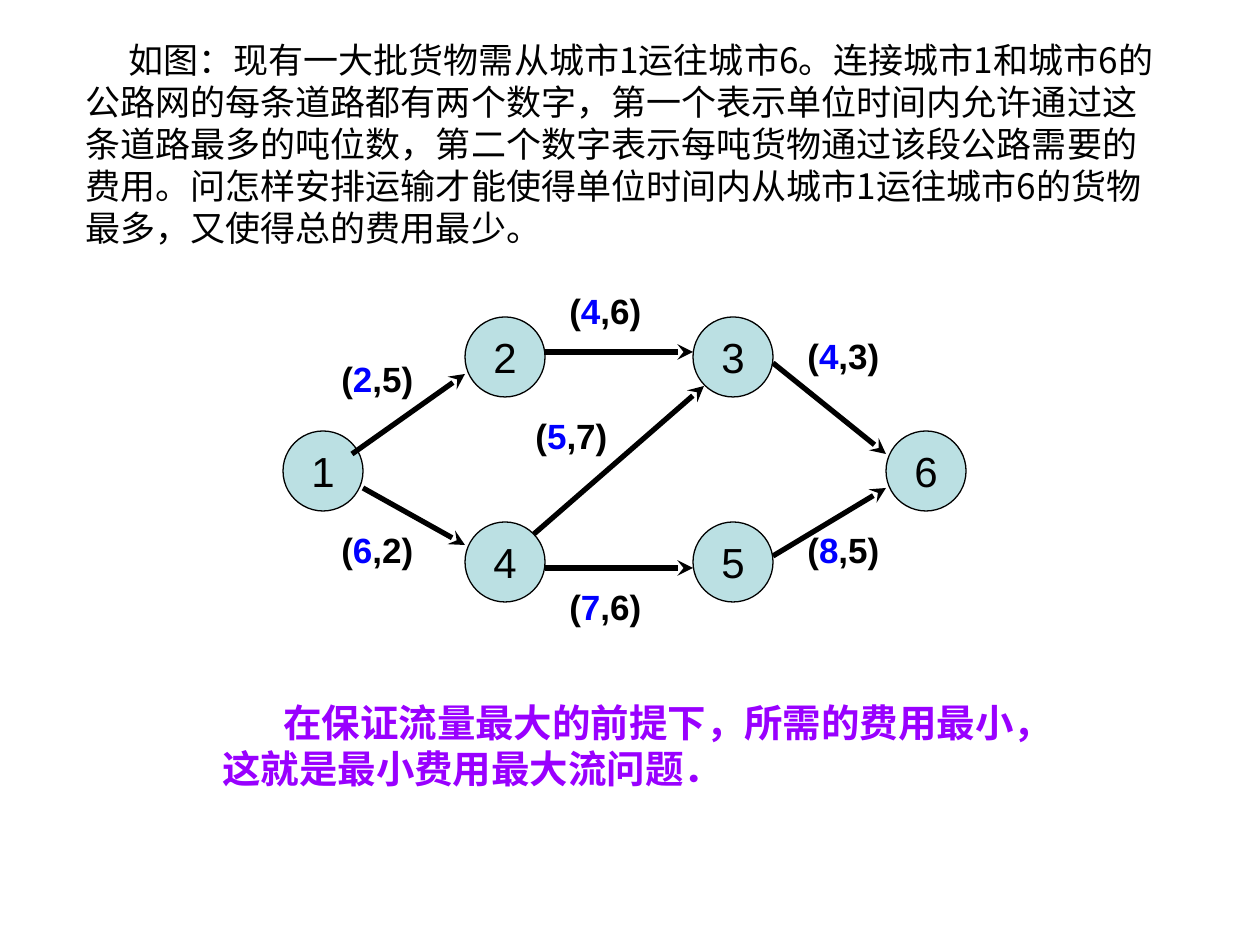
import pptx
import pptx.dml.color
import pptx.enum.shapes
import pptx.enum.text
import pptx.oxml.ns
import pptx.util
from lxml import etree

BLACK = pptx.dml.color.RGBColor(0x00, 0x00, 0x00)
BLUE = pptx.dml.color.RGBColor(0x00, 0x00, 0xFF)
PURPLE = pptx.dml.color.RGBColor(0x99, 0x00, 0xFF)
PALE_TEAL = pptx.dml.color.RGBColor(0xBB, 0xE0, 0xE3)

LATIN_FONT = "Arial"
CHINESE_FONT = "Noto Sans CJK SC"
CITY_SIZE = 80
LABEL_SIZE = (113, 55)

# City number: centre
CITIES = {
    1: (323, 471),
    2: (505, 357),
    4: (505, 562),
    3: (733, 357),
    5: (733, 562),
    6: (926, 471),
}

# Start, end, capacity, cost, top left of the label
ROADS = [
    ((534, 534), (704, 386), 5, 7, (523, 408)),
    ((352, 454), (465, 374), 2, 5, (329, 351)),
    ((363, 488), (465, 545), 6, 2, (329, 522)),
    ((545, 352), (693, 352), 4, 6, (557, 283)),
    ((545, 568), (693, 568), 7, 6, (557, 579)),
    ((773, 363), (886, 454), 4, 3, (795, 328)),
    ((773, 556), (886, 488), 8, 5, (795, 522)),
]

PROBLEM = (
    "如图：现有一大批货物需从城市1运往城市6。连接城市1和城市6的公路网的每条道路都有两个数字，"
    "第一个表示单位时间内允许通过这条道路最多的吨位数，第二个数字表示每吨货物通过该段公路需要的费用。"
    "问怎样安排运输才能使得单位时间内从城市1运往城市6的货物最多，又使得总的费用最少。"
)
CONCLUSION = "在保证流量最大的前提下，所需的费用最小，这就是最小费用最大流问题．"


def px(length):
    return pptx.util.Emu(round(length * 914400 / 126))


class NetworkSlide:
    def __init__(self, presentation):
        self.shapes = presentation.slides.add_slide(presentation.slide_layouts[6]).shapes

    def style(self, paragraph, size, color=BLACK, bold=False, name=LATIN_FONT):
        font = paragraph.font
        font.size = pptx.util.Pt(size)
        font.bold = bold
        font.color.rgb = color
        font.name = name
        properties = paragraph._p.pPr.find(pptx.oxml.ns.qn("a:defRPr"))
        etree.SubElement(properties, pptx.oxml.ns.qn("a:ea"), typeface=name)

    def text_box(self, left, top, width, height):
        """Add a wrapping text box and return its first paragraph."""
        frame = self.shapes.add_textbox(px(left), px(top), px(width), px(height)).text_frame
        frame.word_wrap = True
        return frame.paragraphs[0]

    def passage(self, text, box, first_line_indent, size, color=BLACK, bold=False):
        paragraph = self.text_box(*box)
        paragraph.text = text
        paragraph._p.get_or_add_pPr().set("indent", str(px(first_line_indent)))
        self.style(paragraph, size, color, bold, CHINESE_FONT)

    def city(self, number, center):
        left, top = (px(middle - CITY_SIZE / 2) for middle in center)
        circle = self.shapes.add_shape(
            pptx.enum.shapes.MSO_SHAPE.OVAL, left, top, px(CITY_SIZE), px(CITY_SIZE)
        )
        circle.shadow.inherit = False
        circle.fill.solid()
        circle.fill.fore_color.rgb = PALE_TEAL
        circle.line.color.rgb = BLACK
        circle.line.width = pptx.util.Pt(0.75)
        frame = circle.text_frame
        frame.word_wrap = False
        frame.vertical_anchor = pptx.enum.text.MSO_ANCHOR.MIDDLE
        paragraph = frame.paragraphs[0]
        paragraph.text = str(number)
        paragraph.alignment = pptx.enum.text.PP_ALIGN.CENTER
        self.style(paragraph, 24)
        paragraph.runs[0].font.color.rgb = BLACK

    def road(self, start, end):
        arrow = self.shapes.add_connector(
            pptx.enum.shapes.MSO_CONNECTOR.STRAIGHT, *map(px, start + end)
        )
        arrow.line.color.rgb = BLACK
        arrow.line.width = pptx.util.Pt(3)
        etree.SubElement(
            arrow.line._get_or_add_ln(), pptx.oxml.ns.qn("a:tailEnd"), type="stealth"
        )
        etree.SubElement(arrow._element.spPr, pptx.oxml.ns.qn("a:effectLst"))

    def road_label(self, capacity, cost, position):
        paragraph = self.text_box(*position, *LABEL_SIZE)
        self.style(paragraph, 20, bold=True)
        for text, color in (("(", BLACK), (str(capacity), BLUE), (f",{cost})", BLACK)):
            run = paragraph.add_run()
            run.text = text
            run.font.color.rgb = color


def main():
    presentation = pptx.Presentation()
    presentation.slide_width = px(1260)
    presentation.slide_height = px(945)
    slide = NetworkSlide(presentation)
    for number, center in CITIES.items():
        slide.city(number, center)
    for start, end, capacity, cost, label_position in ROADS:
        slide.road(start, end)
        slide.road_label(capacity, cost, label_position)
    slide.passage(PROBLEM, (73, 32, 1103, 223), 43, 20)
    slide.passage(CONCLUSION, (210, 693, 892, 106), 61, 22, PURPLE, bold=True)
    presentation.save("out.pptx")


if __name__ == "__main__":
    main()
